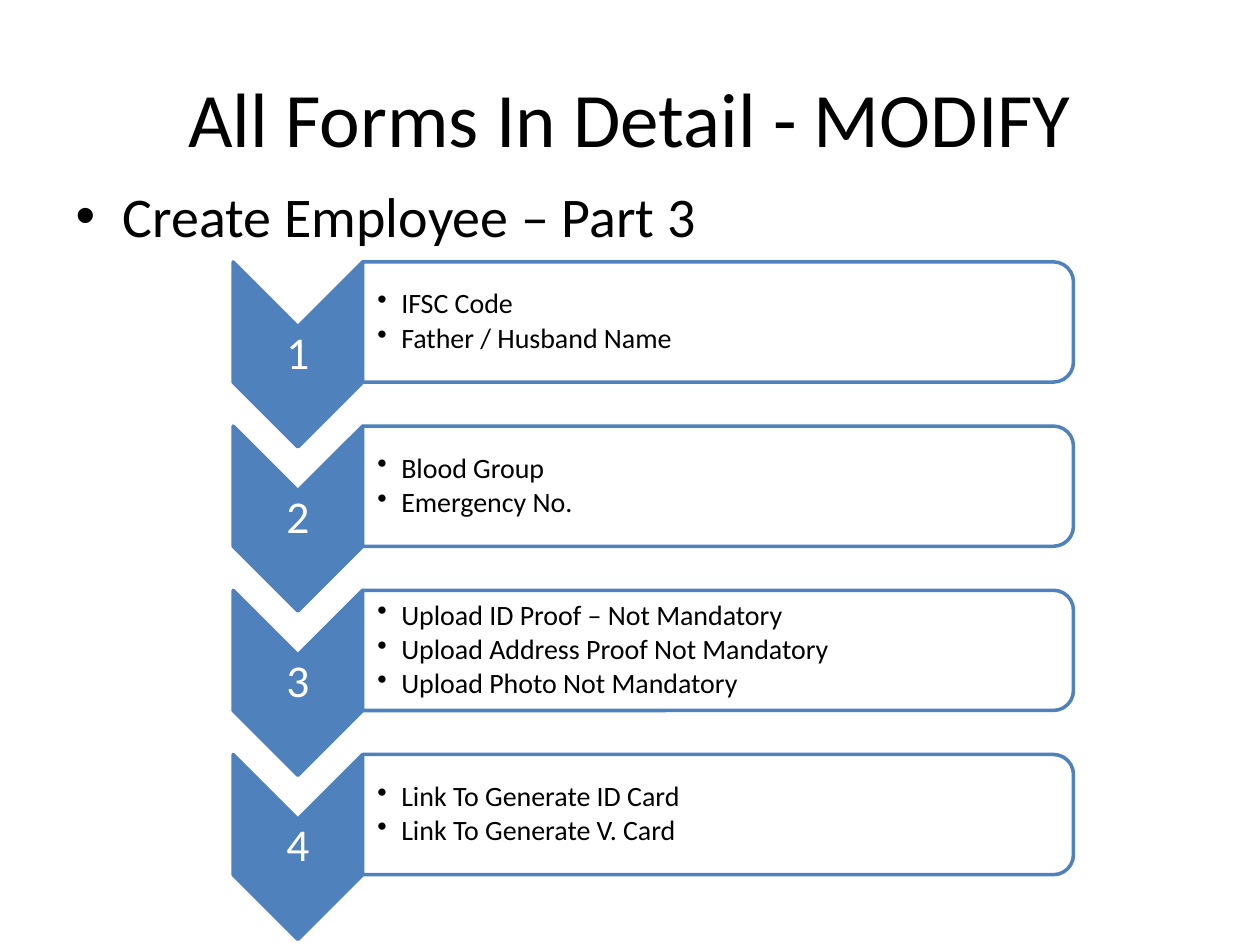
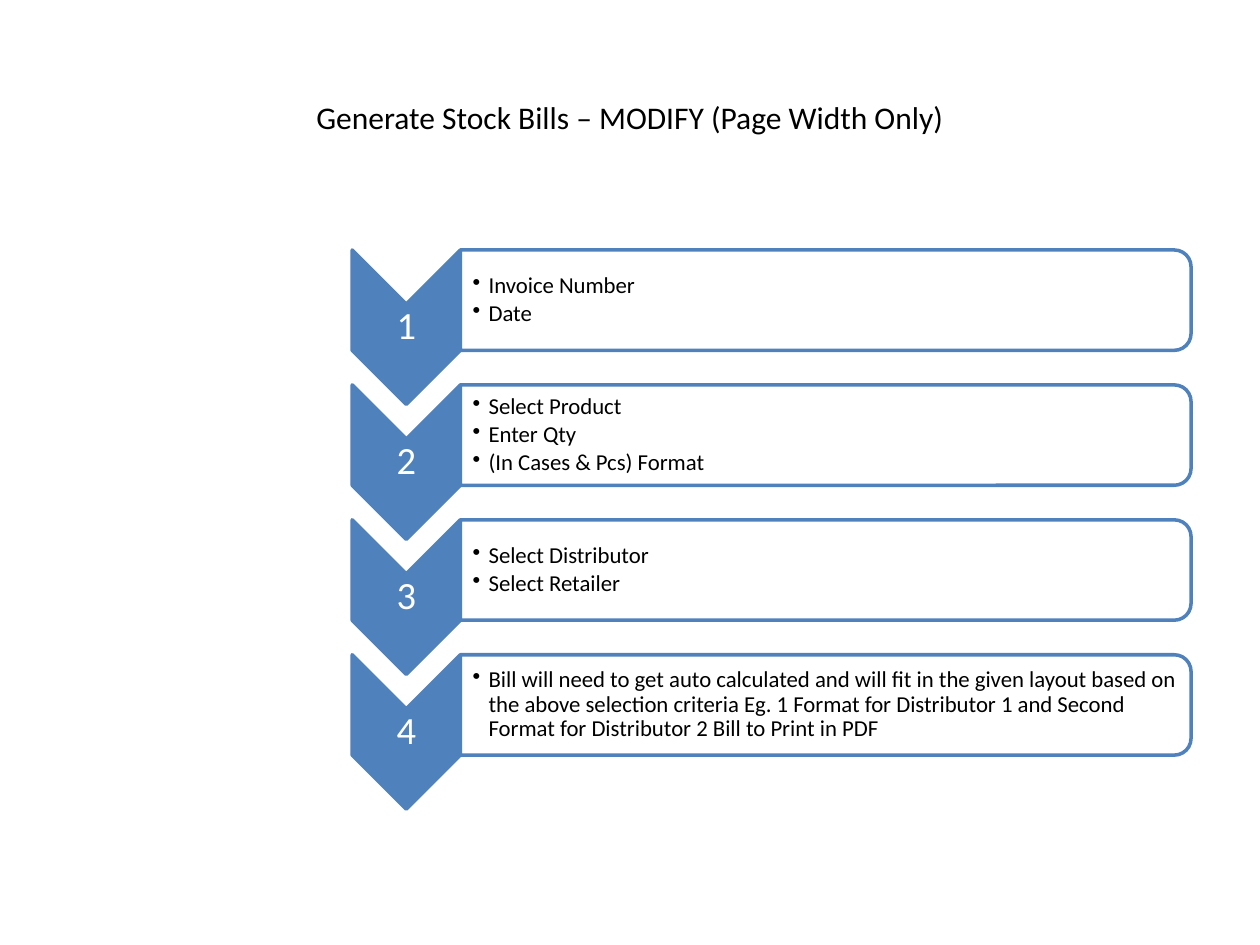
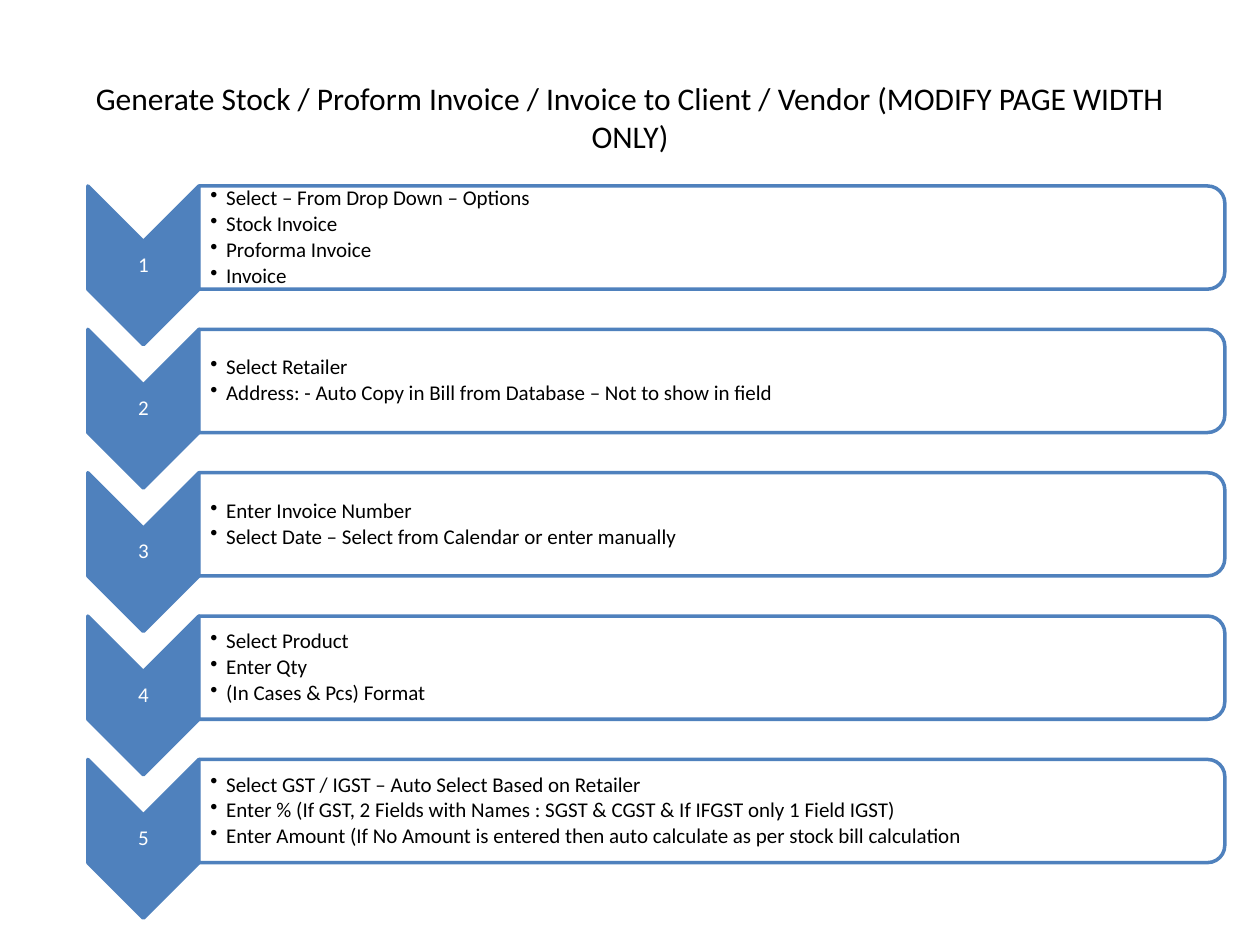
"""Build three slides of numbered form steps, each a column of chevrons with bulleted panels."""
import dataclasses

import lxml.etree
import pptx
import pptx.dml.color
import pptx.enum.shapes
import pptx.enum.text
import pptx.oxml.ns
import pptx.util

Cm, Pt = pptx.util.Cm, pptx.util.Pt
SHAPES = pptx.enum.shapes.MSO_SHAPE
ALIGN = pptx.enum.text.PP_ALIGN
qn = pptx.oxml.ns.qn


@dataclasses.dataclass(frozen=True)
class Theme:
    font: str = "Calibri"
    accent: str = "4F81BD"
    ink: str = "000000"
    paper: str = "FFFFFF"
    panel_opacity: int = 90000
    line: float = 2
    heading: int = 44
    subheading: int = 18
    lead: int = 32


theme = Theme()

pages = [
    {
        "title": "All Forms In Detail - MODIFY",
        "title_size": theme.heading,
        "lead": "Create Employee – Part 3",
        "left": 4.7, "top": 5.28, "step": 3.31,
        "chevron": 2.61, "panel": 14.33,
        "number_size": 26, "text_size": 16, "indent": 0.48, "inset": 0.3,
        "steps": [
            ["IFSC Code", "Father / Husband Name"],
            ["Blood Group", "Emergency No."],
            ["Upload ID Proof – Not Mandatory", "Upload Address Proof Not Mandatory",
             "Upload Photo Not Mandatory"],
            ["Link To Generate ID Card", "Link To Generate V. Card"],
        ],
    },
    {
        "title": "Generate Stock Bills – MODIFY (Page Width Only)",
        "title_size": theme.subheading,
        "lead": None,
        "left": 7.1, "top": 5.04, "step": 2.72,
        "chevron": 2.18, "panel": 14.73,
        "number_size": 22, "text_size": 13, "indent": 0.32, "inset": 0.25,
        "steps": [
            ["Invoice Number", "Date"],
            ["Select Product", "Enter Qty", "(In Cases & Pcs) Format"],
            ["Select Distributor", "Select Retailer"],
            ["Bill will need to get auto calculated and will fit in the given layout based on "
             "the above selection criteria Eg. 1 Format for Distributor 1 and Second Format "
             "for Distributor 2 Bill to Print in PDF"],
        ],
    },
    {
        "title": "Generate Stock / Proform Invoice / Invoice to Client / Vendor "
                 "(MODIFY PAGE WIDTH ONLY)",
        "title_size": theme.subheading,
        "lead": None,
        "left": 1.77, "top": 3.75, "step": 2.89,
        "chevron": 2.24, "panel": 20.68,
        "number_size": 12, "text_size": 12, "indent": 0.32, "inset": 0.23,
        "steps": [
            ["Select – From Drop Down – Options", "Stock Invoice", "Proforma Invoice", "Invoice"],
            ["Select Retailer",
             "Address: - Auto Copy in Bill from Database – Not to show in field"],
            ["Enter Invoice Number", "Select Date – Select from Calendar or enter manually"],
            ["Select Product", "Enter Qty", "(In Cases & Pcs) Format"],
            ["Select GST / IGST – Auto Select Based on Retailer",
             "Enter % (If GST, 2 Fields with Names : SGST & CGST & If IFGST only 1 Field IGST)",
             "Enter Amount (If No Amount is entered then auto calculate as per stock bill "
             "calculation"],
        ],
    },
]


def write(frame, lines, size, color, frame_format, para_format):
    """Fill a text frame with one formatted paragraph a line."""
    for name, value in frame_format.items():
        setattr(frame, name, value)
    for index, line in enumerate(lines):
        para = frame.paragraphs[0] if index == 0 else frame.add_paragraph()
        for name, value in para_format.items():
            setattr(para, name, value)
        span = para.add_run()
        span.text = line
        for name, value in {"name": theme.font, "size": Pt(size)}.items():
            setattr(span.font, name, value)
        span.font.color.rgb = pptx.dml.color.RGBColor.from_string(color)


def add_turned(page, kind, left, top, width, height, color):
    """Add a shape turned a quarter clockwise so that it covers the given area."""
    shape = page.shapes.add_shape(
        kind, Cm(left + (width - height) / 2), Cm(top + (height - width) / 2),
        Cm(height), Cm(width))
    shape.rotation = 90
    shape.shadow.inherit = False
    shape.fill.solid()
    shape.fill.fore_color.rgb = pptx.dml.color.RGBColor.from_string(color)
    shape.line.color.rgb = pptx.dml.color.RGBColor.from_string(theme.accent)
    shape.line.width = Pt(theme.line)
    return shape


deck = pptx.Presentation()
deck.slide_width, deck.slide_height = Cm(25.4), Cm(19.05)
middle = pptx.enum.text.MSO_ANCHOR.MIDDLE
margins = ("margin_left", "margin_top", "margin_right", "margin_bottom")

for plan in pages:
    page = deck.slides.add_slide(deck.slide_layouts[1 if plan["lead"] else 5])
    write(page.shapes.title.text_frame, [plan["title"]], plan["title_size"], theme.ink,
          {"vertical_anchor": middle}, {"alignment": ALIGN.CENTER})
    if plan["lead"]:
        body = page.placeholders[1]
        place = {"left": Cm(1.27), "top": Cm(3.53), "width": Cm(22.86), "height": Cm(12.57)}
        for name, value in place.items():
            setattr(body, name, value)
        write(body.text_frame, [plan["lead"]], theme.lead, theme.ink, {}, {})

    chevron_width = plan["chevron"]
    chevron_height = chevron_width / 0.7
    panel_height = chevron_height * 0.65
    panel_left = plan["left"] + chevron_width
    text_gap = 0.12

    for index, lines in enumerate(plan["steps"]):
        top = plan["top"] + index * plan["step"]
        add_turned(page, SHAPES.CHEVRON, plan["left"], top,
                   chevron_width, chevron_height, theme.accent)
        number = page.shapes.add_textbox(
            Cm(plan["left"]), Cm(top + chevron_width / 2),
            Cm(chevron_width), Cm(chevron_height - chevron_width))
        write(number.text_frame, [str(index + 1)], plan["number_size"], theme.paper,
              {"word_wrap": True, "vertical_anchor": middle, **dict.fromkeys(margins, Cm(0.04))},
              {"alignment": ALIGN.CENTER, "line_spacing": 0.9,
               "space_after": Pt(plan["number_size"] * 0.35)})

        panel = add_turned(page, SHAPES.ROUND_2_SAME_RECTANGLE, panel_left, top,
                           plan["panel"], panel_height, theme.paper)
        tint = panel.fill._xPr.find(qn("a:solidFill"))[0]
        lxml.etree.SubElement(tint, qn("a:alpha"), val=str(theme.panel_opacity))

        box = page.shapes.add_textbox(
            Cm(panel_left), Cm(top + text_gap),
            Cm(plan["panel"] - text_gap), Cm(panel_height - 2 * text_gap))
        write(box.text_frame, lines, plan["text_size"], theme.ink,
              {"word_wrap": True, "vertical_anchor": middle,
               **dict.fromkeys(margins, Cm(0.03)), "margin_left": Cm(plan["inset"])},
              {"alignment": ALIGN.LEFT, "level": 1, "line_spacing": 0.9,
               "space_after": Pt(plan["text_size"] * 0.15)})
        for para in box.text_frame.paragraphs:
            layout = para._p.get_or_add_pPr()
            layout.set("marL", str(Cm(plan["indent"])))
            layout.set("indent", str(-Cm(plan["indent"])))
            lxml.etree.SubElement(layout, qn("a:buChar"), char="•")

deck.save("out.pptx")
